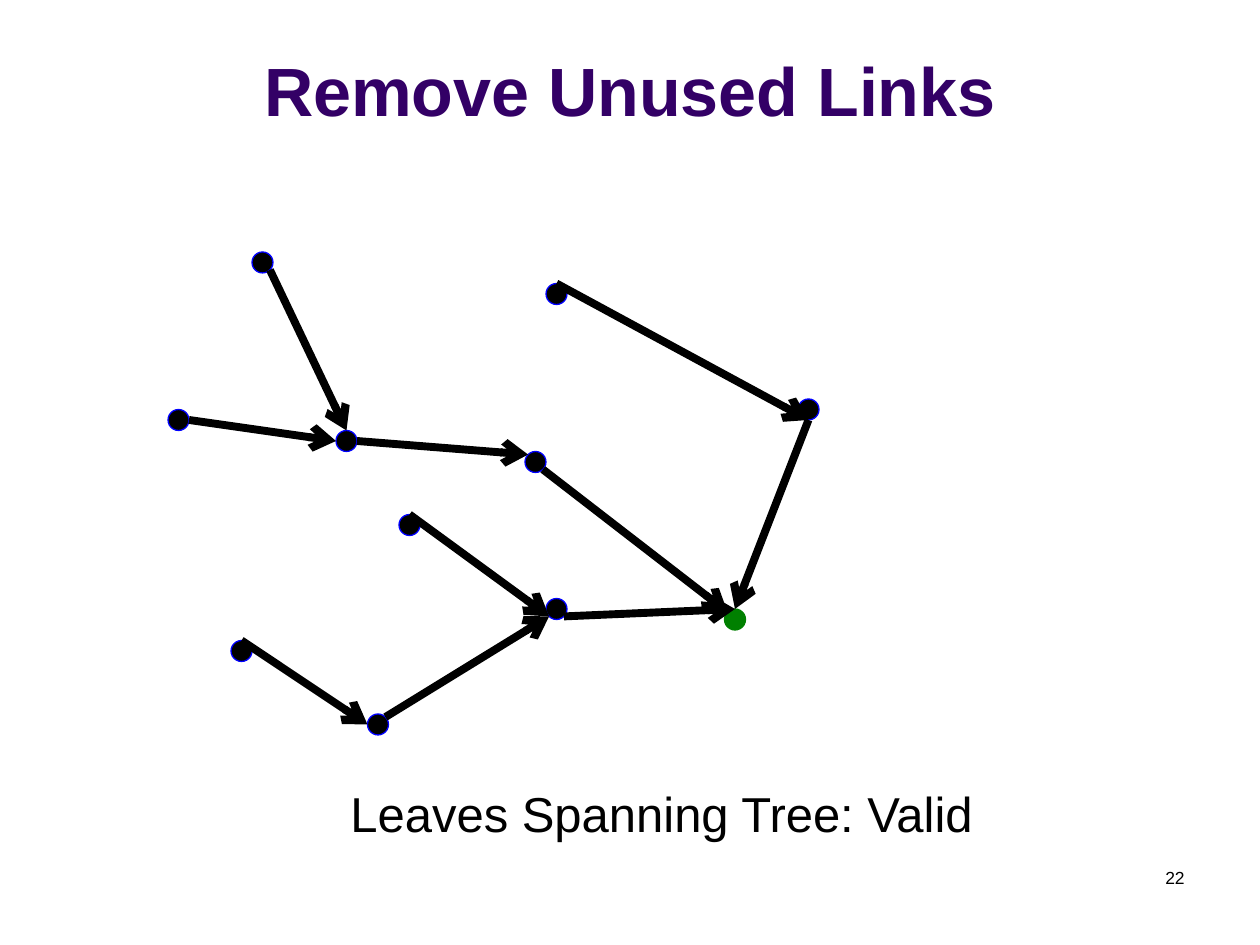
from math import cos, radians, sin

from lxml.etree import SubElement
from pptx import Presentation
from pptx.dml.color import RGBColor
from pptx.enum.shapes import MSO_CONNECTOR, MSO_SHAPE
from pptx.enum.text import MSO_ANCHOR, PP_ALIGN
from pptx.oxml.ns import qn
from pptx.util import Pt

RADIUS = 6
BLACK, BLUE, GREEN, PURPLE = "000000", "0000FF", "008000", "330066"

# Centre of each node, in points
NODES = {
    "north": (150, 150), "west": (102, 240), "northeast": (318, 168),
    "south hub": (318, 348), "south": (216, 414), "west hub": (198, 252),
    "east": (462, 234), "middle": (234, 300), "southwest": (138, 372),
    "centre": (306, 264), "root": (420, 354),
}
# Clockwise angles on a node's rim
ANGLES = {"right": 0, "lower right": 45, "bottom": 90, "lower left": 135,
          "left": 180, "upper left": 225, "top": 270, "upper right": 315}
LINKS = [
    ("north", "lower right", "west hub", "top"),
    ("centre", "lower right", "root", "upper left"),
    ("northeast", "top", "east", "bottom"),
    ("east", "bottom", "root", "top"),
    ("southwest", "top", "south", "left"),
    ("middle", "top", "south hub", "lower left"),
    ("south hub", "lower right", "root", "top"),
    ("west hub", "right", "centre", "upper left"),
    ("west", "right", "west hub", "left"),
    ("south", "upper right", "south hub", "lower left"),
]


def color(value):
    return RGBColor.from_string(value)


def write(box, text, alignment, ink, **font_format):
    paragraph = box.text_frame.paragraphs[0]
    paragraph.alignment = alignment
    span = paragraph.add_run()
    span.text = text
    span.font.color.rgb = color(ink)
    for name, value in {"name": "Arial", **font_format}.items():
        setattr(span.font, name, value)


def add_title(page, text):
    title = page.shapes.title
    place = {"left": 0, "top": 9.5, "width": 720, "height": 68.5}
    for name, value in place.items():
        setattr(title, name, Pt(value))
    title.text_frame.vertical_anchor = MSO_ANCHOR.BOTTOM
    write(title, text, PP_ALIGN.CENTER, PURPLE, size=Pt(39), bold=True)


def add_label(page, text, place, alignment, size):
    box = page.shapes.add_textbox(*map(Pt, place))
    box.text_frame.word_wrap = True
    write(box, text, alignment, BLACK, size=Pt(size))


def add_node(page, center, fill, outline):
    x, y = center
    node = page.shapes.add_shape(MSO_SHAPE.OVAL, Pt(x - RADIUS), Pt(y - RADIUS),
                                 Pt(2 * RADIUS), Pt(2 * RADIUS))
    node.shadow.inherit = False
    node.fill.solid()
    node.fill.fore_color.rgb = color(fill)
    node.line.color.rgb = color(outline)
    node.line.width = Pt(0.75)


def rim_point(node, side):
    x, y = NODES[node]
    angle = radians(ANGLES[side])
    return Pt(x + RADIUS * cos(angle)), Pt(y + RADIUS * sin(angle))


def add_link(page, source, source_side, target, target_side):
    link = page.shapes.add_connector(MSO_CONNECTOR.STRAIGHT,
                                     *rim_point(source, source_side),
                                     *rim_point(target, target_side))
    link.line.color.rgb = color(BLACK)
    link.line.width = Pt(4.5)
    SubElement(link.line._get_or_add_ln(), qn("a:tailEnd"), type="arrow")
    SubElement(link._element.spPr, qn("a:effectLst"))


def main():
    deck = Presentation()
    deck.slide_width, deck.slide_height = Pt(720), Pt(540)
    page = deck.slides.add_slide(deck.slide_layouts[5])
    add_title(page, "Remove Unused Links")
    add_label(page, "22", (516, 492, 168, 36), PP_ALIGN.RIGHT, 10)
    for name, center in NODES.items():
        fill, outline = (GREEN, GREEN) if name == "root" else (BLACK, BLUE)
        add_node(page, center, fill, outline)
    for link in LINKS:
        add_link(page, *link)
    add_label(page, "Leaves Spanning Tree: Valid", (144, 444, 468, 41),
              PP_ALIGN.CENTER, 28)
    deck.save("out.pptx")


if __name__ == "__main__":
    main()
